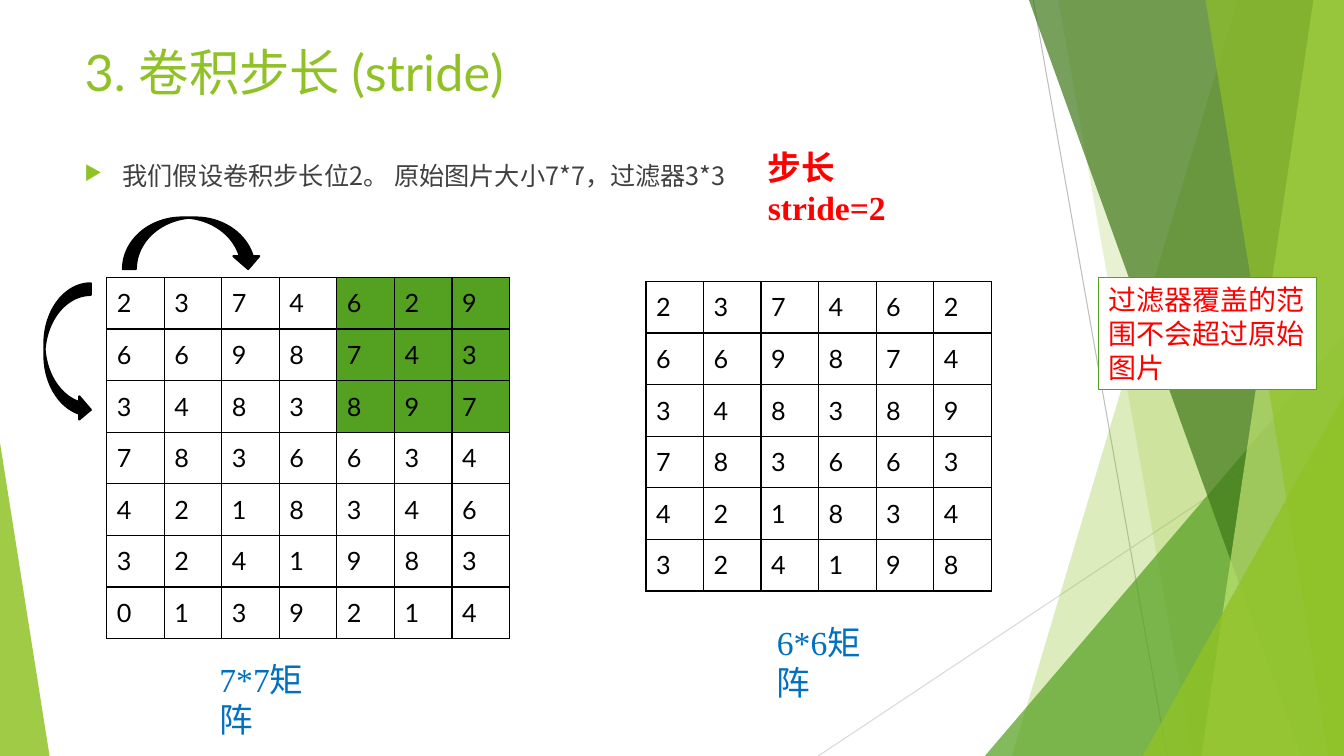
from lxml import etree
from pptx import Presentation
from pptx.dml.color import RGBColor
from pptx.enum.shapes import MSO_CONNECTOR, MSO_SHAPE
from pptx.enum.text import MSO_ANCHOR, MSO_AUTO_SIZE, PP_ALIGN
from pptx.oxml import parse_xml
from pptx.oxml.ns import nsdecls, qn
from pptx.util import Cm, Pt

LINE = MSO_CONNECTOR.STRAIGHT
TRI, BOX, ARROW = (MSO_SHAPE.ISOSCELES_TRIANGLE, MSO_SHAPE.RECTANGLE,
                   MSO_SHAPE.CURVED_LEFT_ARROW)
TOP, MIDDLE = MSO_ANCHOR.TOP, MSO_ANCHOR.MIDDLE
LEFT = PP_ALIGN.LEFT
FIXED = MSO_AUTO_SIZE.NONE

LIME = RGBColor(0x90, 0xC2, 0x26)
GREEN = RGBColor(0x54, 0xA0, 0x21)
DARK = RGBColor(0x3F, 0x78, 0x19)
PALE = RGBColor(0xC0, 0xE4, 0x74)
GREY = RGBColor(0x40, 0x40, 0x40)
SILVER = RGBColor(0xBF, 0xBF, 0xBF)
MIST = RGBColor(0xD9, 0xD9, 0xD9)
WHITE = RGBColor(0xFF, 0xFF, 0xFF)
BLACK = RGBColor(0, 0, 0)
BLUE = RGBColor(0x00, 0x70, 0xC0)
RED = RGBColor(0xFF, 0, 0)
CJK = "Noto Sans CJK SC"
WIDE, HIGH = 33.87, 19.05


def write(frame, text, size, font, color, bold=False, anchor=TOP):
    frame.word_wrap = True
    frame.auto_size = FIXED
    frame.vertical_anchor = anchor
    para = frame.paragraphs[0]
    para.alignment = LEFT
    run = para.add_run()
    run.text = text
    run.font.size = Pt(size)
    run.font.name = font
    run.font.bold = bold
    run.font.color.rgb = color
    east = etree.SubElement(run.font._element, qn("a:ea"))
    east.set("typeface", CJK)
    return para


def paint(shape, color, alpha=100):
    shape.shadow.inherit = False
    shape.fill.solid()
    shape.fill.fore_color.rgb = color
    shape.line.fill.background()
    if alpha < 100:
        tint = shape.fill._xPr.find(qn("a:solidFill"))[0]
        etree.SubElement(tint, qn("a:alpha")).set("val", str(alpha * 1000))


deck = Presentation()
deck.slide_width, deck.slide_height = Cm(WIDE), Cm(HIGH)
slide = deck.slides.add_slide(deck.slide_layouts[5])
shapes = slide.shapes

# Thin lines behind the facets
for x1, y1, x2, y2, color in [(26.04, 0, 29.41, HIGH, SILVER),
                              (WIDE, 10.24, 20.62, HIGH, MIST)]:
    ray = shapes.add_connector(LINE, Cm(x1), Cm(y1), Cm(x2), Cm(y2))
    ray.line.color.rgb = color
    ray.line.width = Pt(0.75)
    etree.SubElement(ray._element.spPr, qn("a:effectLst"))

# Facets: (top x, foot x) runs to the right edge, four numbers are a triangle
facets = [
    ((31.19, 25.5), LIME, 30),
    ((26.67, 30.05), LIME, 20),
    ((24.82, 8.46, 9.05, 10.59), GREEN, 72),
    ((25.93, 32.79), DARK, 70),
    ((33.1, 30.28), PALE, 70),
    ((30.38, 33.48), LIME, 65),
    ((28.8, 9.98, 5.07, 9.07), LIME, 80),
    ((0, 11.15, 1.25, 7.9), LIME, 85),
]
for spot, color, alpha in facets:
    if len(spot) == 4:
        facet = shapes.add_shape(TRI, *map(Cm, spot))
        facet.adjustments[0] = 1 if spot[0] else 0
    else:
        head, foot = spot
        pen = shapes.build_freeform(Cm(head), 0)
        pen.add_line_segments([(Cm(WIDE), 0), (Cm(WIDE), Cm(HIGH)),
                               (Cm(foot), Cm(HIGH))], close=True)
        facet = pen.convert_to_shape()
    paint(facet, color, alpha)

# Title, in front of the facets
title = shapes.title
shapes.element.append(title._element)
title.left, title.top, title.width, title.height = map(
    Cm, (1.88, 0.91, 23.88, 2.06))
write(title.text_frame, "3. 卷积步长 (stride)", 36, "Lato", LIME)

# Bullet line
body = shapes.add_textbox(Cm(1.88), Cm(3.53), Cm(23.88), Cm(2.01))
para = write(body.text_frame, "我们假设卷积步长位2。 原始图片大小7*7，过滤器3*3",
             18, CJK, GREY)
para.line_spacing = 1.5
para.space_before = Pt(10)
props = para._p.get_or_add_pPr()
props.set("marL", str(Cm(0.96)))
props.set("indent", str(-Cm(0.96)))
for mark in (f'<a:buClr {nsdecls("a")}><a:srgbClr val="{LIME}"/></a:buClr>',
             f'<a:buSzPct {nsdecls("a")} val="80000"/>',
             f'<a:buChar {nsdecls("a")} char="▶"/>'):
    props.append(parse_xml(mark))

# Number grids: the second is the top left part of the first
digits = ["2374629", "6698743", "3483897", "7836634",
          "4218346", "3241983", "0139214"]
cell_w, cell_h = 1.45, 1.3
for count, left, top in [(7, 2.69, 6.99), (6, 16.28, 7.09)]:
    grid = shapes.add_table(count, count, Cm(left), Cm(top),
                            Cm(cell_w * count), Cm(cell_h * count)).table
    grid.first_row = grid.horz_banding = False
    for i in range(count):
        grid.columns[i].width = Cm(cell_w)
        grid.rows[i].height = Cm(cell_h)
        for j in range(count):
            cell = grid.cell(i, j)
            cell.vertical_anchor = MIDDLE
            run = cell.text_frame.paragraphs[0].add_run()
            run.text = digits[i][j]
            run.font.size = Pt(18)
            run.font.name = "Lato"
            run.font.color.rgb = BLACK
            cell.fill.solid()
            lit = count == 7 and i < 3 and j > 3
            cell.fill.fore_color.rgb = GREEN if lit else WHITE
            for k, side in enumerate("LRTB"):
                cell._tc.tcPr.insert(k, parse_xml(
                    f'<a:ln{side} {nsdecls("a")} w="12700"><a:solidFill>'
                    f'<a:srgbClr val="{BLACK}"/></a:solidFill></a:ln{side}>'))

# Labels
for text, left, top, width, color, bold in [
        ("7*7矩阵", 5.28, 16.48, 3.2, BLUE, False),
        ("步长stride=2", 19.1, 3.58, 4.6, RED, True),
        ("6*6矩阵", 19.33, 15.54, 3.2, BLUE, False)]:
    label = shapes.add_textbox(Cm(left), Cm(top), Cm(width), Cm(1.27))
    write(label.text_frame, text, 24, "Times New Roman", color, bold)

# Stride arrows: down and to the right
for left, top, width, turn in [(1.12, 7.14, 1.17, 0), (4.19, 4.39, 1.3, 270)]:
    arrow = shapes.add_shape(ARROW, Cm(left), Cm(top), Cm(width), Cm(3.48))
    paint(arrow, BLACK)
    arrow.line.color.rgb = BLACK
    arrow.line.width = Pt(1.5)
    arrow.rotation = turn
    if not turn:
        arrow._element.spPr.xfrm.set("flipH", "1")

# Remark
note = shapes.add_shape(BOX, Cm(27.69), Cm(6.99), Cm(5.49), Cm(2.82))
paint(note, WHITE)
note.line.color.rgb = GREEN
note.line.width = Pt(0.75)
write(note.text_frame, "过滤器覆盖的范围不会超过原始图片", 20, "Arial", RED,
      anchor=MIDDLE)

deck.save("out.pptx")
